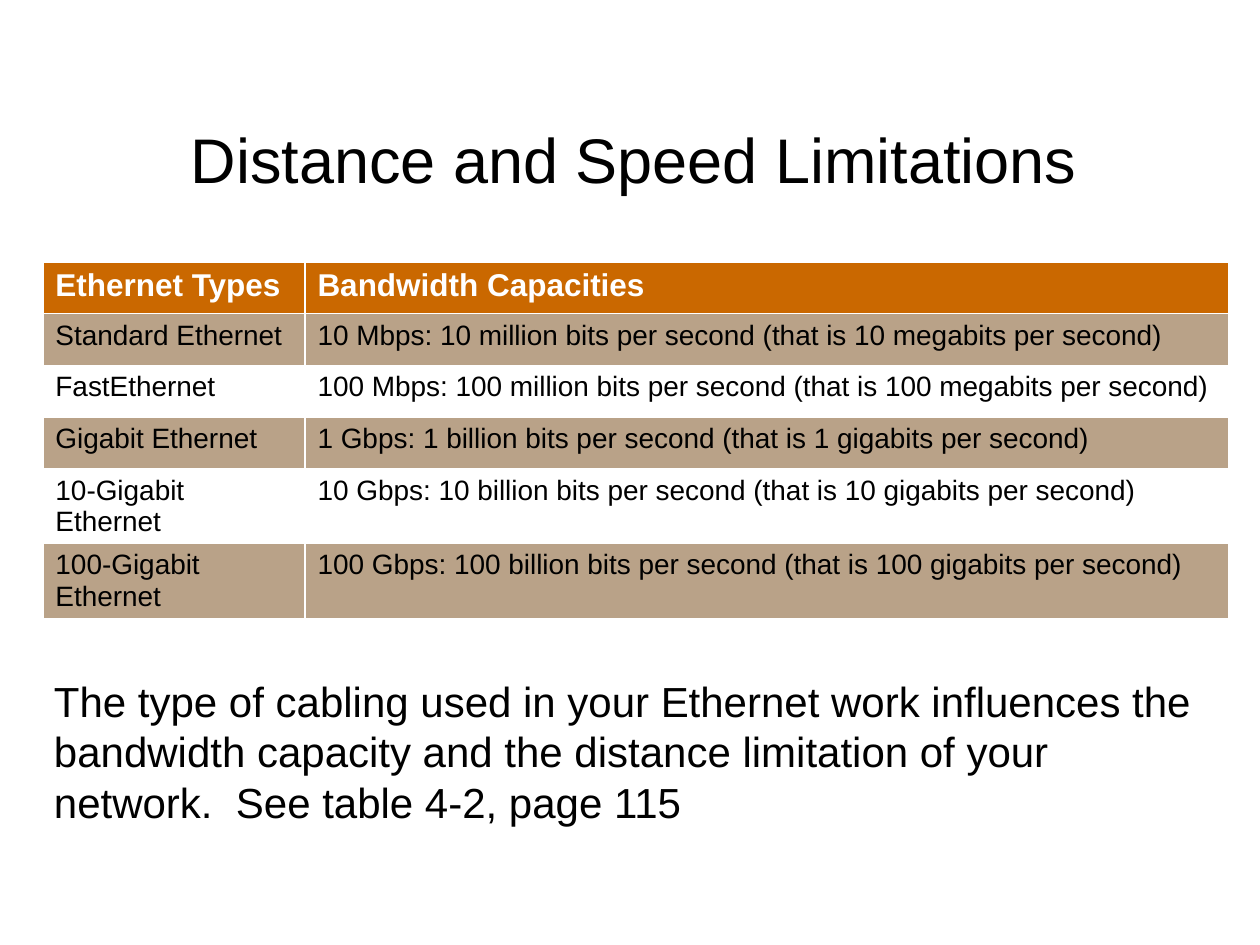
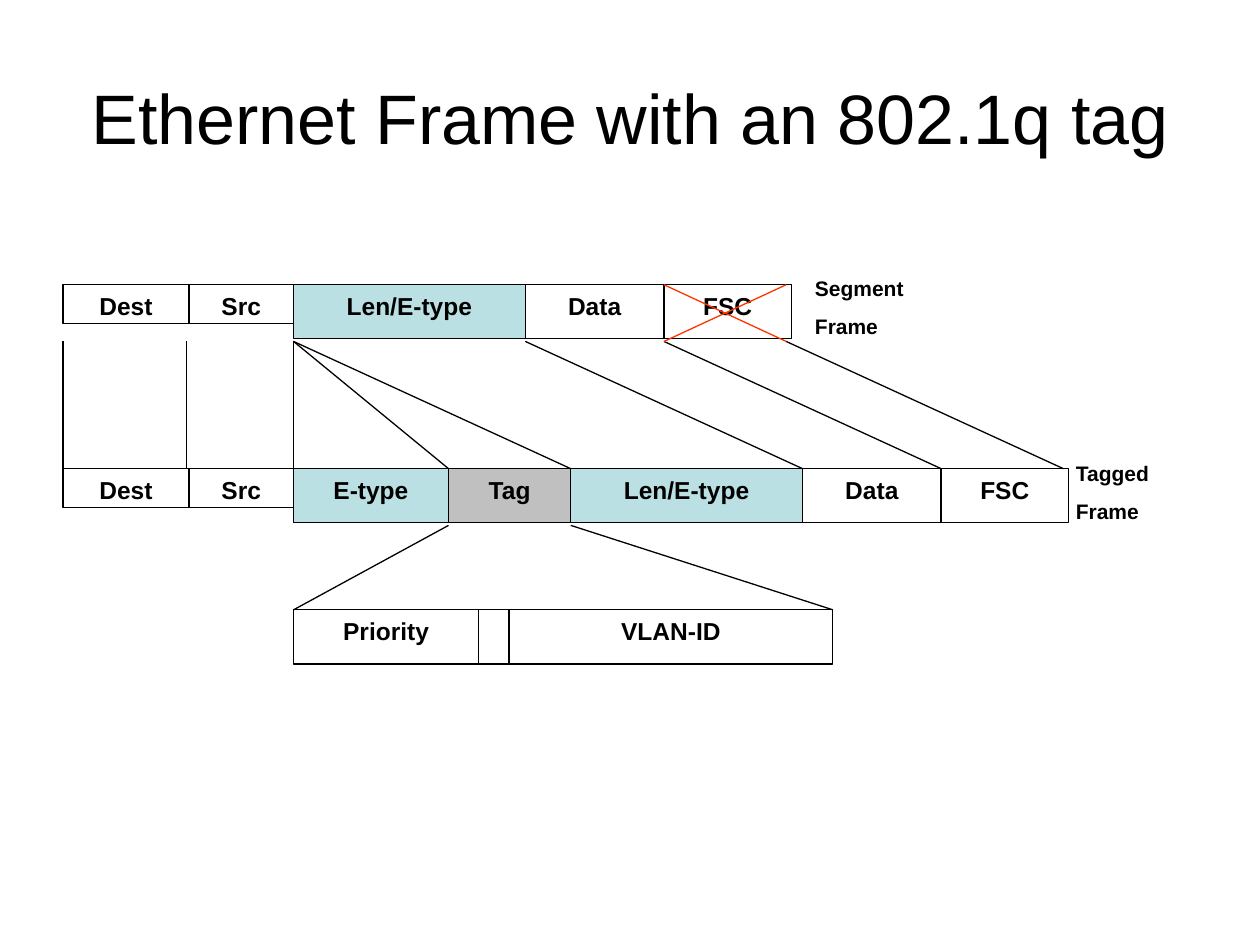
from itertools import pairwise

from lxml import etree
from pptx import Presentation
from pptx.dml.color import RGBColor
from pptx.enum.shapes import MSO_CONNECTOR, MSO_SHAPE
from pptx.enum.text import MSO_ANCHOR, MSO_AUTO_SIZE, PP_ALIGN
from pptx.oxml.ns import qn
from pptx.util import Inches, Pt

RECTANGLE = MSO_SHAPE.RECTANGLE
STRAIGHT = MSO_CONNECTOR.STRAIGHT
TOP, MIDDLE = MSO_ANCHOR.TOP, MSO_ANCHOR.MIDDLE
LEFT, CENTER = PP_ALIGN.LEFT, PP_ALIGN.CENTER
NO_AUTOFIT = MSO_AUTO_SIZE.NONE

FONT = "Arial"
BLACK, WHITE, RED = "000000", "FFFFFF", "FF3300"
ORANGE, TAN = "CA6800", "B9A288"
TEAL, GRAY = "BBE0E3", "C0C0C0"

SPEED_TITLE = ("Distance and Speed Limitations", 36, (0.78, 0.76, 8.5, 1))
BANDWIDTHS = [
    ("Ethernet Types", "Bandwidth Capacities"),
    ("Standard Ethernet", "10 Mbps: 10 million bits per second (that is 10 megabits per second)"),
    ("FastEthernet", "100 Mbps: 100 million bits per second (that is 100 megabits per second)"),
    ("Gigabit Ethernet", "1 Gbps: 1 billion bits per second (that is 1 gigabits per second)"),
    ("10-Gigabit Ethernet", "10 Gbps: 10 billion bits per second (that is 10 gigabits per second)"),
    ("100-Gigabit Ethernet", "100 Gbps: 100 billion bits per second (that is 100 gigabits per second)"),
]
COLUMN_WIDTHS = (2.08, 7.33)
ROW_HEIGHT = 0.41
CABLING_NOTE = (
    "The type of cabling used in your Ethernet work influences the bandwidth "
    "capacity and the distance limitation of your network.  See table 4-2, page 115"
)

FRAME_TITLE = ("Ethernet Frame with an 802.1q tag", 40, (0.5, 0.3, 9, 1.25))
SEGMENT_TOP, TAGGED_TOP, TAG_TOP = 2.26, 3.72, 4.84
ADDRESS_HEIGHT, FIELD_HEIGHT = 0.31, 0.43
LINE_GAP = 0.02
FIELD_ROWS = [
    (SEGMENT_TOP, (0.5, 1.5, 2.33, 4.17, 5.27, 6.28),
     ("Dest", "Src", "Len/E-type", "Data", "FSC")),
    (TAGGED_TOP, (0.5, 1.5, 2.33, 3.56, 4.53, 6.37, 7.47, 8.48),
     ("Dest", "Src", "E-type", "Tag", "Len/E-type", "Data", "FSC")),
    (TAG_TOP, (2.33, 3.8, 4.04, 6.61), ("Priority", "", "VLAN-ID")),
]
FIELD_FILLS = {"Len/E-type": TEAL, "E-type": TEAL, "Tag": GRAY}
ADDRESS_FIELDS = ("Dest", "Src")
FRAME_LABELS = [
    (("Segment", "Frame"), (6.37, 2.14, 1.34, 0.76)),
    (("Tagged", "Frame"), (8.44, 3.61, 1.22, 0.76)),
]
SEGMENT_TO_TAGGED = [
    (0.5, 0.5), (1.48, 1.48), (2.33, 2.33), (2.33, 3.56),
    (2.33, 4.53), (4.17, 6.37), (5.27, 7.47), (6.24, 8.44),
]
TAGGED_TO_TAG = [(3.56, 2.33), (4.53, 6.61)]
CROSS_OUT = [(6.24, 5.27), (5.27, 6.24)]


def color(value):
    return RGBColor.from_string(value)


def inches(place):
    return [Inches(length) for length in place]


def write(frame, lines, size, bold=False, align=LEFT, anchor=TOP, ink=BLACK):
    frame.word_wrap = True
    frame.vertical_anchor = anchor
    frame.text = "\n".join(lines)
    for para in frame.paragraphs:
        para.alignment = align
        para.font.name = FONT
        para.font.size = Pt(size)
        para.font.bold = bold
        para.font.color.rgb = color(ink)


def add_slide(deck, text, size, place):
    slide = deck.slides.add_slide(deck.slide_layouts[5])
    title = slide.shapes.title
    title.left, title.top, title.width, title.height = inches(place)
    write(title.text_frame, [text], size, align=CENTER, anchor=MIDDLE)
    title.text_frame.auto_size = NO_AUTOFIT
    return slide


def add_text(slide, lines, place, size, bold=False):
    box = slide.shapes.add_textbox(*inches(place))
    write(box.text_frame, lines, size, bold)
    for para in box.text_frame.paragraphs[1:]:
        para.space_before = Pt(size / 2 + 1)


def add_field(slide, name, left, top, width):
    height = ADDRESS_HEIGHT if name in ADDRESS_FIELDS else FIELD_HEIGHT
    box = slide.shapes.add_shape(RECTANGLE, *inches((left, top, width, height)))
    box.shadow.inherit = False
    box.line.color.rgb = color(BLACK)
    box.line.width = Pt(0.75)
    if name in FIELD_FILLS:
        box.fill.solid()
        box.fill.fore_color.rgb = color(FIELD_FILLS[name])
    else:
        box.fill.background()
    if name:
        write(box.text_frame, [name], 14, bold=True, align=CENTER)


def add_lines(slide, spans, top, bottom, ink=BLACK):
    for start, end in spans:
        line = slide.shapes.add_connector(STRAIGHT, *inches((start, top, end, bottom)))
        line.line.color.rgb = color(ink)
        line.line.width = Pt(0.75)
        etree.SubElement(line._element.spPr, qn("a:effectLst"))


def add_bandwidth_table(slide):
    rows, columns = len(BANDWIDTHS), len(COLUMN_WIDTHS)
    place = (0.34, 2.08, sum(COLUMN_WIDTHS), rows * ROW_HEIGHT)
    table = slide.shapes.add_table(rows, columns, *inches(place)).table
    for column, width in zip(table.columns, COLUMN_WIDTHS):
        column.width = Inches(width)
    for row, texts in enumerate(BANDWIDTHS):
        header = row == 0
        fill = ORANGE if header else TAN if row % 2 else WHITE
        for column, text in enumerate(texts):
            cell = table.cell(row, column)
            cell.fill.solid()
            cell.fill.fore_color.rgb = color(fill)
            write(cell.text_frame, [text], 18 if header else 16, bold=header,
                  ink=WHITE if header else BLACK)


def build_speed_slide(deck):
    slide = add_slide(deck, *SPEED_TITLE)
    add_bandwidth_table(slide)
    add_text(slide, [CABLING_NOTE], (0.33, 5.31, 9.25, 1.31), 24)


def build_frame_slide(deck):
    slide = add_slide(deck, *FRAME_TITLE)
    for top, edges, names in FIELD_ROWS:
        for name, (left, right) in zip(names, pairwise(edges)):
            add_field(slide, name, left, top, right - left)
    for lines, place in FRAME_LABELS:
        add_text(slide, lines, place, 12, bold=True)
    segment_bottom = SEGMENT_TOP + FIELD_HEIGHT + LINE_GAP
    tagged_bottom = TAGGED_TOP + FIELD_HEIGHT + LINE_GAP
    add_lines(slide, SEGMENT_TO_TAGGED, segment_bottom, TAGGED_TOP)
    add_lines(slide, TAGGED_TO_TAG, tagged_bottom, TAG_TOP)
    add_lines(slide, CROSS_OUT, SEGMENT_TOP, segment_bottom, RED)


def main():
    deck = Presentation()
    deck.slide_width, deck.slide_height = inches((10, 7.5))
    build_speed_slide(deck)
    build_frame_slide(deck)
    deck.save("out.pptx")


if __name__ == "__main__":
    main()
